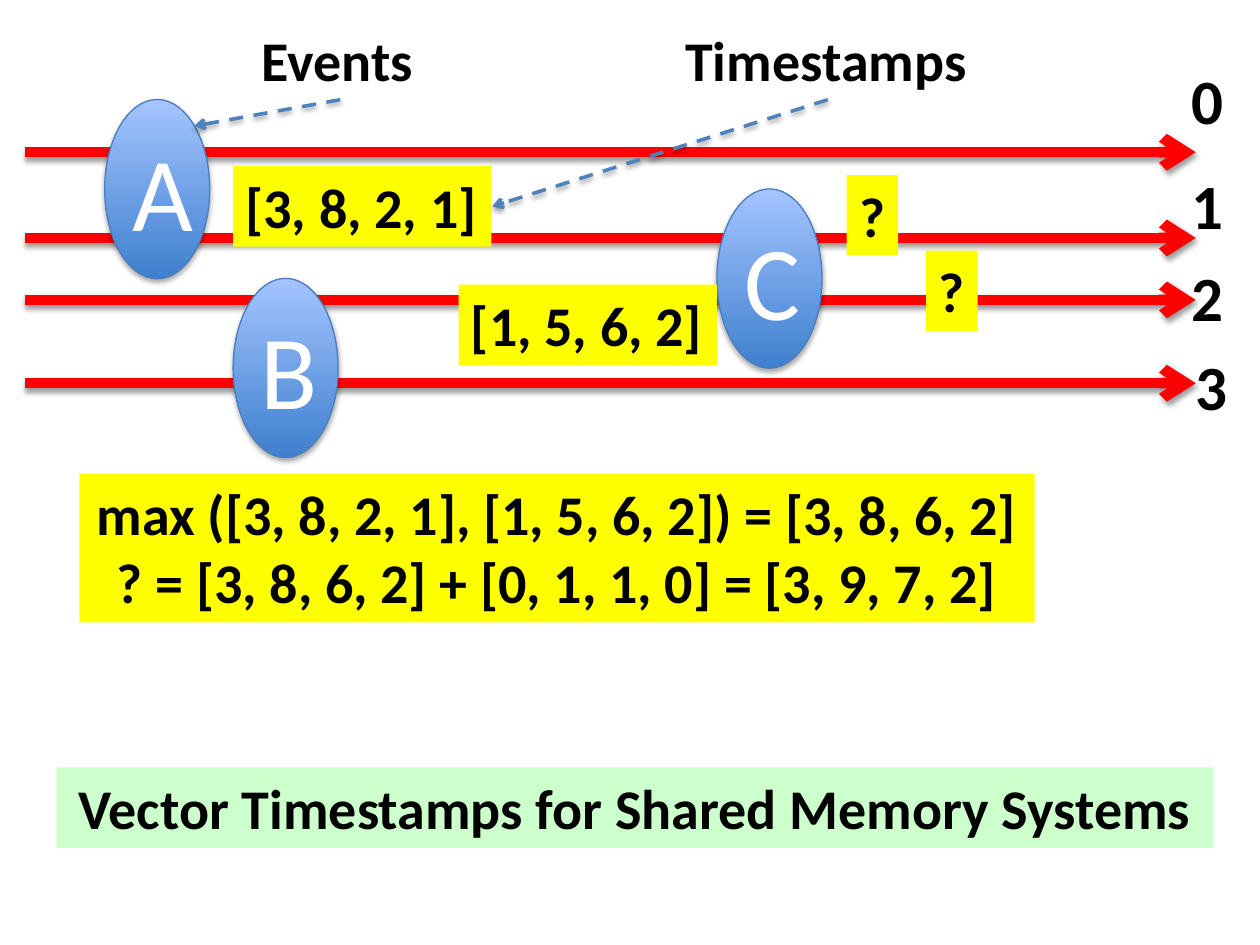
from lxml import etree
from pptx import Presentation
from pptx import util as u
from pptx.dml.color import RGBColor
from pptx.enum import dml, shapes, text
from pptx.oxml import ns

Pt = u.Pt
FONT = "Calibri"
COLORS = {
    "process": "FF0000", "pointer": "4F81BD", "outline": "4B7EBC",
    "event_low": "3F80CE", "event_high": "A4C4FF", "note": "FFFF00",
    "title": "CCFFCC", "ink": "000000", "white": "FFFFFF",
}

TITLE = "Vector Timestamps for Shared Memory Systems"
TITLE_BOX = (32.4, 438.5, 661, 46)

# Process number, line height, label left, label top
PROCESSES = [("0", 87, 674, 31.6), ("1", 136, 674, 91.5),
             ("2", 171.4, 674, 144), ("3", 219, 676, 195.2)]
PROCESS_START, PROCESS_END = 14.4, 683.3
LABEL_SIZE = (33, 51)

# Event, left, top
EVENTS = [("A", 59.8, 56.9), ("C", 409.7, 108), ("B", 133.2, 159.1)]
EVENT_SIZE = (60, 102.4)

# Wording, left, top, width, height
NOTES = [
    ("[3, 8, 2, 1]", 133.2, 95, 147.6, 46),
    ("[1, 5, 6, 2]", 262, 162.7, 147.6, 46),
    ("?", 483.8, 100, 29.5, 46),
    ("?", 529.2, 143.2, 29.5, 46),
]
RESULT = ("max ([3, 8, 2, 1], [1, 5, 6, 2]) = [3, 8, 6, 2]\n"
          "? = [3, 8, 6, 2] + [0, 1, 1, 0] = [3, 9, 7, 2]",
          45.4, 270.7, 545.8, 85)

# Heading, left, top, width, height, then pointer start and end
HEADINGS = [
    ("Events", (142.6, 10.8, 103, 46), (194.4, 57), (111, 72)),
    ("Timestamps", (384.5, 10.8, 178, 46), (473, 57), (281.3, 118)),
]


def rgb(name):
    """Return the named colour."""
    return RGBColor.from_string(COLORS[name])


def add_shadow(part, opacity, blur, distance):
    """Give a shape or connector a soft shadow straight below it."""
    props = part.element.spPr
    effects = props.find(ns.qn("a:effectLst"))
    if effects is None:
        effects = etree.SubElement(props, ns.qn("a:effectLst"))
    outer = etree.SubElement(
        effects, ns.qn("a:outerShdw"), blurRad=str(Pt(blur)),
        dist=str(Pt(distance)), dir="5400000", rotWithShape="0")
    ink = etree.SubElement(outer, ns.qn("a:srgbClr"), val=COLORS["ink"])
    etree.SubElement(ink, ns.qn("a:alpha"), val=str(opacity * 1000))


def add_arrow(slide, start, end, color, width, dash=None):
    """Draw a shadowed arrow from start to end."""
    arrow = slide.shapes.add_connector(
        shapes.MSO_CONNECTOR.STRAIGHT, *map(Pt, start + end))
    arrow.line.color.rgb = rgb(color)
    arrow.line.width = Pt(width)
    if dash:
        arrow.line.dash_style = dash
    etree.SubElement(arrow.line._get_or_add_ln(), ns.qn("a:tailEnd"), type="arrow")
    add_shadow(arrow, 38, 3.1, 1.6)


def write(part, wording, size, color="ink", bold=True, align=text.PP_ALIGN.LEFT):
    """Put formatted wording in a shape."""
    part.text_frame.text = wording
    for paragraph in part.text_frame.paragraphs:
        paragraph.alignment = align
        for run in paragraph.runs:
            run.font.name = FONT
            run.font.size = Pt(size)
            run.font.bold = bold
            run.font.color.rgb = rgb(color)


def add_label(slide, wording, box, size, fill=None, align=text.PP_ALIGN.LEFT):
    """Add an unwrapped bold text box, filled if a colour is named."""
    label = slide.shapes.add_textbox(*map(Pt, box))
    write(label, wording, size, align=align)
    label.text_frame.word_wrap = False
    label.text_frame.auto_size = text.MSO_AUTO_SIZE.SHAPE_TO_FIT_TEXT
    if fill:
        label.fill.solid()
        label.fill.fore_color.rgb = rgb(fill)


def add_event(slide, name, left, top):
    """Add an event as a shaded oval."""
    event = slide.shapes.add_shape(
        shapes.MSO_SHAPE.OVAL, *map(Pt, (left, top) + EVENT_SIZE))
    event.shadow.inherit = False
    event.fill.gradient()
    event.fill.gradient_angle = 90
    for stop, color in zip(event.fill.gradient_stops, ("event_low", "event_high")):
        stop.color.rgb = rgb(color)
    event.line.color.rgb = rgb("outline")
    event.line.width = Pt(0.75)
    add_shadow(event, 35, 3.1, 1.8)
    write(event, name, 60, "white", False, text.PP_ALIGN.CENTER)
    event.text_frame.vertical_anchor = text.MSO_ANCHOR.MIDDLE


def set_title(slide):
    """Place and format the title."""
    title = slide.shapes.title
    title.left, title.top, title.width, title.height = map(Pt, TITLE_BOX)
    title.fill.solid()
    title.fill.fore_color.rgb = rgb("title")
    write(title, TITLE, 32, align=text.PP_ALIGN.CENTER)
    title.text_frame.word_wrap = False
    title.text_frame.auto_size = text.MSO_AUTO_SIZE.NONE
    title.text_frame.vertical_anchor = text.MSO_ANCHOR.TOP


deck = Presentation()
deck.slide_width, deck.slide_height = Pt(720), Pt(540)
slide = deck.slides.add_slide(deck.slide_layouts[5])
set_title(slide)
for number, height, left, top in PROCESSES:
    add_arrow(slide, (PROCESS_START, height), (PROCESS_END, height), "process", 6)
    add_label(slide, number, (left, top) + LABEL_SIZE, 36)
for event in EVENTS:
    add_event(slide, *event)
for wording, *box in NOTES:
    add_label(slide, wording, box, 32, "note")
wording, *box = RESULT
add_label(slide, wording, box, 32, "note", text.PP_ALIGN.CENTER)
for heading, box, start, end in HEADINGS:
    add_label(slide, heading, box, 32)
    add_arrow(slide, start, end, "pointer", 2, dml.MSO_LINE.DASH)
deck.save("out.pptx")
